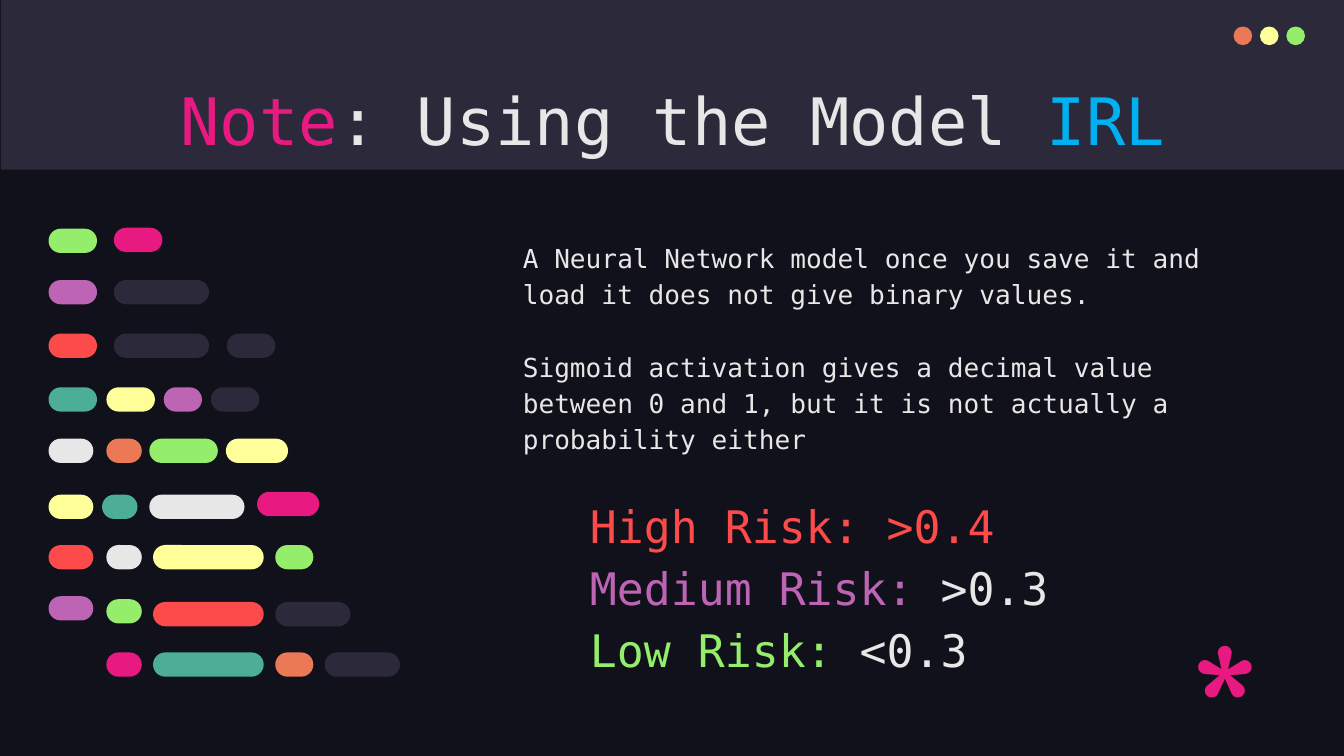
from dataclasses import dataclass

from pptx import Presentation
from pptx.dml.color import RGBColor
from pptx.enum.shapes import MSO_SHAPE
from pptx.enum.text import MSO_ANCHOR, PP_ALIGN
from pptx.util import Pt


@dataclass(frozen=True)
class Theme:
    back: str = "10111A"
    dark: str = "2C293A"
    white: str = "E7E7E7"
    pink: str = "E81A81"
    blue: str = "00B0F0"
    red: str = "FD4A4A"
    plum: str = "BD64B5"
    green: str = "94EE6B"
    teal: str = "4CAE97"
    lemon: str = "FFFF99"
    coral: str = "EC7955"
    mono: str = "DejaVu Sans Mono"
    curvy: str = "Comfortaa"
    title: int = 35
    body: int = 14
    risk: int = 24
    star: int = 96


class Board:
    def __init__(self, slide, theme):
        self.slide = slide
        self.theme = theme
        fill = slide.background.fill
        fill.solid()
        fill.fore_color.rgb = RGBColor.from_string(theme.back)

    def shape(self, kind, left, top, width, height, color):
        item = self.slide.shapes.add_shape(
            kind, Pt(left), Pt(top), Pt(width), Pt(height))
        item.shadow.inherit = False
        item.fill.solid()
        item.fill.fore_color.rgb = RGBColor.from_string(color)
        item.line.fill.background()
        return item

    def pill(self, left, top, width, color):
        item = self.shape(MSO_SHAPE.ROUNDED_RECTANGLE,
                          left, top, width, 13, color)
        item.adjustments[0] = 0.5

    def box(self, left, top, width, height):
        item = self.slide.shapes.add_textbox(
            Pt(left), Pt(top), Pt(width), Pt(height))
        frame = item.text_frame
        frame.word_wrap = True
        frame.vertical_anchor = MSO_ANCHOR.TOP
        frame.margin_left = frame.margin_right = Pt(7.2)
        frame.margin_top = frame.margin_bottom = Pt(7.2)
        return frame

    def words(self, para, size, *runs, face=None):
        """Fill a paragraph with (text, color) runs."""
        para.font.size = Pt(size)
        para.font.name = face or self.theme.mono
        for text, color in runs:
            run = para.add_run()
            run.text = text
            run.font.color.rgb = RGBColor.from_string(color)


def main():
    deck = Presentation()
    deck.slide_width, deck.slide_height = Pt(720), Pt(405)
    t = Theme()
    board = Board(deck.slides.add_slide(deck.slide_layouts[6]), t)

    board.shape(MSO_SHAPE.RECTANGLE, 0.5, 0, 719.5, 91, t.dark)
    for i, color in enumerate((t.coral, t.lemon, t.green)):
        board.shape(MSO_SHAPE.OVAL, 660.8 + 14.15 * i, 14.2, 10, 10, color)

    title = board.box(57, 35.5, 607, 45.5).paragraphs[0]
    title.alignment = PP_ALIGN.CENTER
    board.words(title, t.title, ("Note", t.pink),
                (": Using the Model ", t.white), ("IRL", t.blue))

    # Each line: size, left indent, space before, runs
    lines = (
        (t.body, 0, 0, [("A Neural Network model once you save it and load "
                         "it does not give binary values.", t.white)]),
        (t.body, 0, 19.4, [("Sigmoid activation gives a decimal value between "
                            "0 and 1, but it is not actually a probability "
                            "either", t.white)]),
        (t.risk, 36, 19.4, [("High Risk: >0.4", t.red)]),
        (t.risk, 36, 0, [("Medium Risk:", t.plum), (" >0.3", t.white)]),
        (t.risk, 36, 0, [("Low Risk: ", t.green), ("<0.3", t.white)]),
    )
    body = board.box(273, 120.3, 391, 242)
    for i, (size, indent, gap, runs) in enumerate(lines):
        para = body.add_paragraph() if i else body.paragraphs[0]
        para.line_spacing = 1.15
        para.space_before = Pt(gap)
        if indent:
            props = para._p.get_or_add_pPr()
            props.set("marL", str(Pt(indent)))
            props.set("indent", "0")
        board.words(para, size, *runs)

    # Each row of code pills: top, then (left, width, color)
    rows = (
        (122.5, (26, 26, t.green)),
        (122, (61, 26, t.pink)),
        (150, (26, 26, t.plum), (61, 51, t.dark)),
        (178.7, (26, 26, t.red), (61, 51, t.dark), (121.5, 26, t.dark)),
        (207.5, (26, 26, t.teal), (57, 26, t.lemon), (87.7, 20.5, t.plum),
         (113, 26, t.dark)),
        (235, (26, 24, t.white), (57, 19, t.coral), (80, 36.7, t.green),
         (121, 33.3, t.lemon)),
        (265, (26, 24, t.lemon), (54.7, 19, t.teal), (80, 51, t.white)),
        (263.5, (137.7, 33.3, t.pink)),
        (292, (26, 24, t.red), (57, 19, t.white), (82, 59.3, t.lemon),
         (147.5, 20.4, t.green)),
        (319.4, (26, 24, t.plum)),
        (321, (57, 19, t.green)),
        (322.5, (82, 59.3, t.red), (147.5, 40.3, t.dark)),
        (349.5, (57, 19, t.pink), (82, 59.3, t.teal), (147.5, 20.4, t.coral),
         (174, 40.3, t.dark)),
    )
    for top, *pills in rows:
        for left, width, color in pills:
            board.pill(left, top, width, color)

    star = board.box(630.7, 318.2, 41, 62.6).paragraphs[0]
    board.words(star, t.star, ("*", t.pink), face=t.curvy)

    deck.save("out.pptx")


if __name__ == "__main__":
    main()
